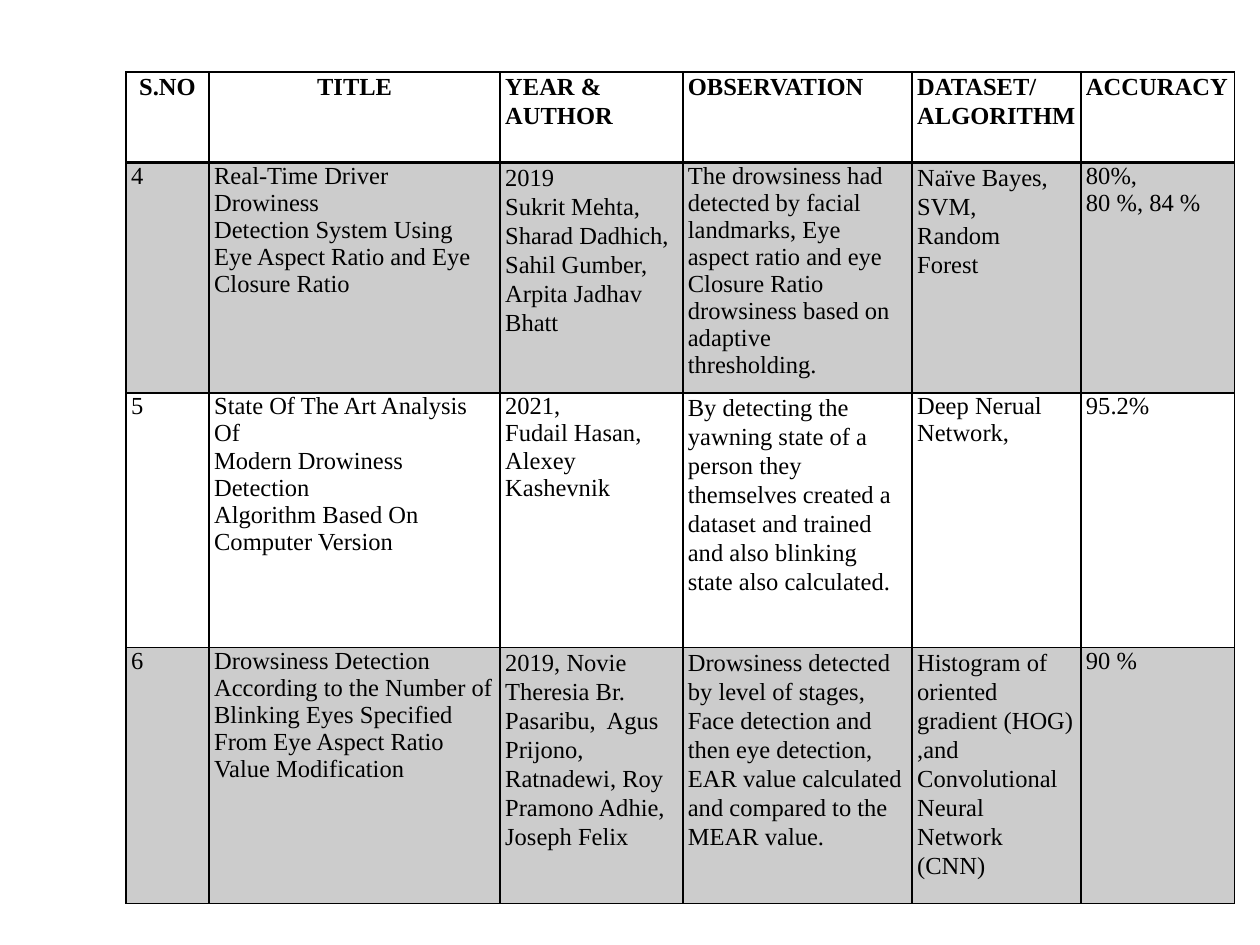
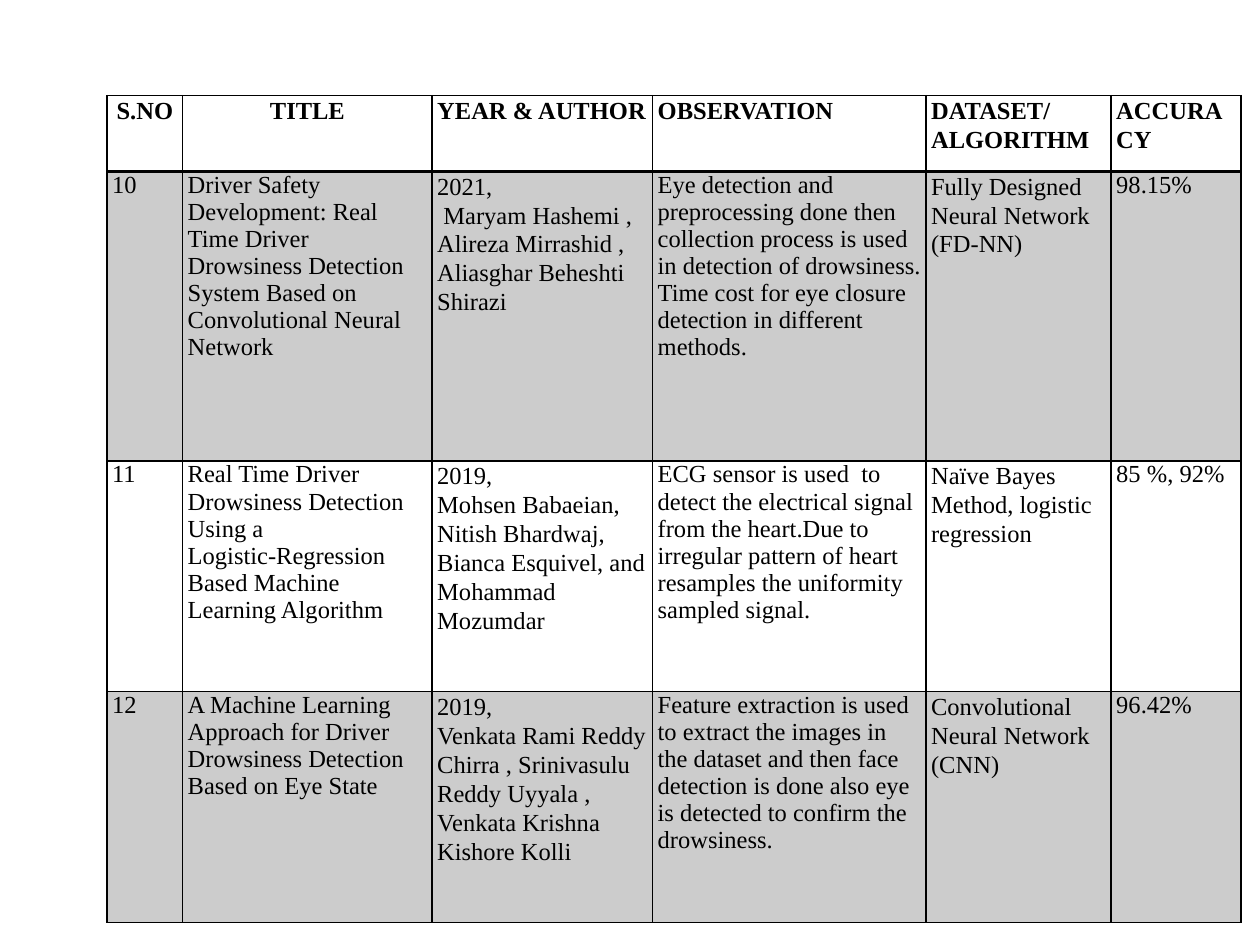
import pptx
import pptx.util
import pptx.enum.text
import pptx.dml.color
import pptx.oxml
import pptx.oxml.ns
from pptx.util import Inches

COLORS = {"ink": "000000"}
BAND_OPACITY = 20
BLANK_LAYOUT = 6
HEADER = ["S.NO", "TITLE", "YEAR & AUTHOR", "OBSERVATION", "DATASET/\nALGORITHM", "ACCURACY"]
CENTERED_COLUMNS = {0, 1}
ALL_COLUMNS = set(range(len(HEADER)))
CELL_FORMAT = {
    "margin_left": Inches(0.04), "margin_right": Inches(0.04),
    "margin_top": 0, "margin_bottom": 0,
}
FONT_FORMAT = {"name": "Times New Roman", "size": pptx.util.Pt(14)}
THIN, THICK = 1, 2

SURVEYS = [
    {
        "place": (1, 0.57, 8.8, 6.6),
        "columns": [0.66, 2.31, 1.45, 1.82, 1.34, 1.22],
        "rows": [0.72, 1.83, 2.02, 2.03],
        "loose": [{2, 4}, {3}, {2, 3, 4}],
        "papers": [
            ["4",
             "Real-Time Driver Drowiness\n"
             "Detection System Using Eye Aspect Ratio and Eye Closure Ratio",
             "2019\nSukrit Mehta, Sharad Dadhich, Sahil Gumber,\nArpita Jadhav Bhatt",
             "The drowsiness had detected by facial\n"
             "landmarks, Eye aspect ratio and eye Closure Ratio drowsiness based on adaptive\n"
             "thresholding.",
             "Naïve Bayes,\nSVM,\nRandom\nForest",
             "80%,\n80 %, 84 %"],
            ["5",
             "State Of The Art Analysis Of\nModern Drowiness Detection\n"
             "Algorithm Based On Computer Version",
             "2021,\nFudail Hasan,\nAlexey Kashevnik",
             "By detecting the yawning state of a person they themselves created a dataset "
             "and trained and also blinking state also calculated.",
             "Deep Nerual Network,",
             "95.2%"],
            ["6",
             "Drowsiness Detection According to the Number of Blinking Eyes Specified "
             "From Eye Aspect Ratio Value Modification",
             "2019, Novie Theresia Br. Pasaribu,  Agus Prijono, Ratnadewi, "
             "Roy Pramono Adhie, Joseph Felix",
             "Drowsiness detected by level of stages,\n"
             "Face detection and then eye detection, EAR value calculated and compared "
             "to the MEAR value.",
             "Histogram of oriented gradient (HOG) ,and Convolutional Neural Network (CNN)",
             "90 %"],
        ],
    },
    {
        "place": (0.85, 0.76, 9, 6.56),
        "columns": [0.6, 1.98, 1.75, 2.17, 1.47, 1.03],
        "rows": [0.6, 2.3, 1.83, 1.83],
        "loose": [{2, 4}] * 3,
        "papers": [
            ["10",
             "Driver Safety Development: Real Time Driver Drowsiness Detection System "
             "Based on Convolutional Neural Network",
             "2021,\n Maryam Hashemi , Alireza Mirrashid , Aliasghar Beheshti Shirazi",
             "Eye detection and preprocessing done then collection process is used in "
             "detection of drowsiness. Time cost for eye closure detection in different methods.",
             "Fully Designed Neural Network (FD-NN)",
             "98.15%"],
            ["11",
             "Real Time Driver Drowsiness Detection Using a\n"
             "Logistic-Regression Based Machine Learning Algorithm",
             "2019,\nMohsen Babaeian, Nitish Bhardwaj, Bianca Esquivel, and Mohammad Mozumdar",
             "ECG sensor is used  to detect the electrical signal from the heart.Due to "
             "irregular pattern of heart resamples the uniformity sampled signal.",
             "Naïve Bayes\nMethod, logistic regression",
             "85 %, 92%"],
            ["12",
             "A Machine Learning Approach for Driver Drowsiness Detection Based on Eye State",
             "2019,\nVenkata Rami Reddy Chirra , Srinivasulu Reddy Uyyala , "
             "Venkata Krishna Kishore Kolli",
             "Feature extraction is used to extract the images in the dataset and then face "
             "detection is done also eye is detected to confirm the drowsiness.",
             "Convolutional Neural Network (CNN)",
             "96.42%"],
        ],
    },
]


def apply_format(target, values):
    for name, value in values.items():
        setattr(target, name, value)


class SurveyDeck:
    def __init__(self):
        self.presentation = pptx.Presentation()
        apply_format(self.presentation, {"slide_width": Inches(10), "slide_height": Inches(7.5)})
        self.ink = pptx.dml.color.RGBColor.from_string(COLORS["ink"])
        self.slide = None

    def add_slide(self):
        layout = self.presentation.slide_layouts[BLANK_LAYOUT]
        self.slide = self.presentation.slides.add_slide(layout)

    def add_survey(self, survey):
        rows = [HEADER] + survey["papers"]
        loose_columns = [ALL_COLUMNS] + survey["loose"]
        place = [Inches(length) for length in survey["place"]]
        table = self.slide.shapes.add_table(len(rows), len(HEADER), *place).table
        apply_format(table, {"first_row": False, "horz_banding": False})
        for column, width in zip(table.columns, survey["columns"]):
            column.width = Inches(width)
        for row, height in zip(table.rows, survey["rows"]):
            row.height = Inches(height)
        for row_index, texts in enumerate(rows):
            for column_index, text in enumerate(texts):
                cell = table.cell(row_index, column_index)
                apply_format(cell, CELL_FORMAT)
                self.write_text(cell, text, row_index == 0,
                                column_index in CENTERED_COLUMNS,
                                column_index in loose_columns[row_index])
                self.draw_borders(cell, row_index)
                self.fill_band(cell, row_index % 2 == 1)

    def write_text(self, cell, text, is_header, is_centered, is_loose):
        cell.text = text
        for paragraph in cell.text_frame.paragraphs:
            if is_loose:
                paragraph.line_spacing = 1.07
            if is_header and is_centered:
                paragraph.alignment = pptx.enum.text.PP_ALIGN.CENTER
            for run in paragraph.runs:
                apply_format(run.font, {**FONT_FORMAT, "bold": is_header})
                run.font.color.rgb = self.ink

    def draw_borders(self, cell, row_index):
        widths = {
            "lnL": THIN, "lnR": THIN,
            "lnT": THICK if row_index == 1 else THIN,
            "lnB": THICK if row_index == 0 else THIN,
        }
        properties = cell._tc.get_or_add_tcPr()
        for tag, width in widths.items():
            properties.append(pptx.oxml.parse_xml(
                f'<a:{tag} {pptx.oxml.ns.nsdecls("a")} w="{pptx.util.Pt(width)}">'
                f'<a:solidFill><a:srgbClr val="{COLORS["ink"]}"/></a:solidFill></a:{tag}>'))

    def fill_band(self, cell, is_shaded):
        if not is_shaded:
            cell.fill.background()
            return
        cell.fill.solid()
        cell.fill.fore_color.rgb = self.ink
        color = cell._tc.tcPr.find("a:solidFill/a:srgbClr", pptx.oxml.ns._nsmap)
        color.append(pptx.oxml.parse_xml(
            f'<a:alpha {pptx.oxml.ns.nsdecls("a")} val="{BAND_OPACITY * 1000}"/>'))


def main():
    deck = SurveyDeck()
    for survey in SURVEYS:
        deck.add_slide()
        deck.add_survey(survey)
    deck.presentation.save("out.pptx")


if __name__ == "__main__":
    main()
